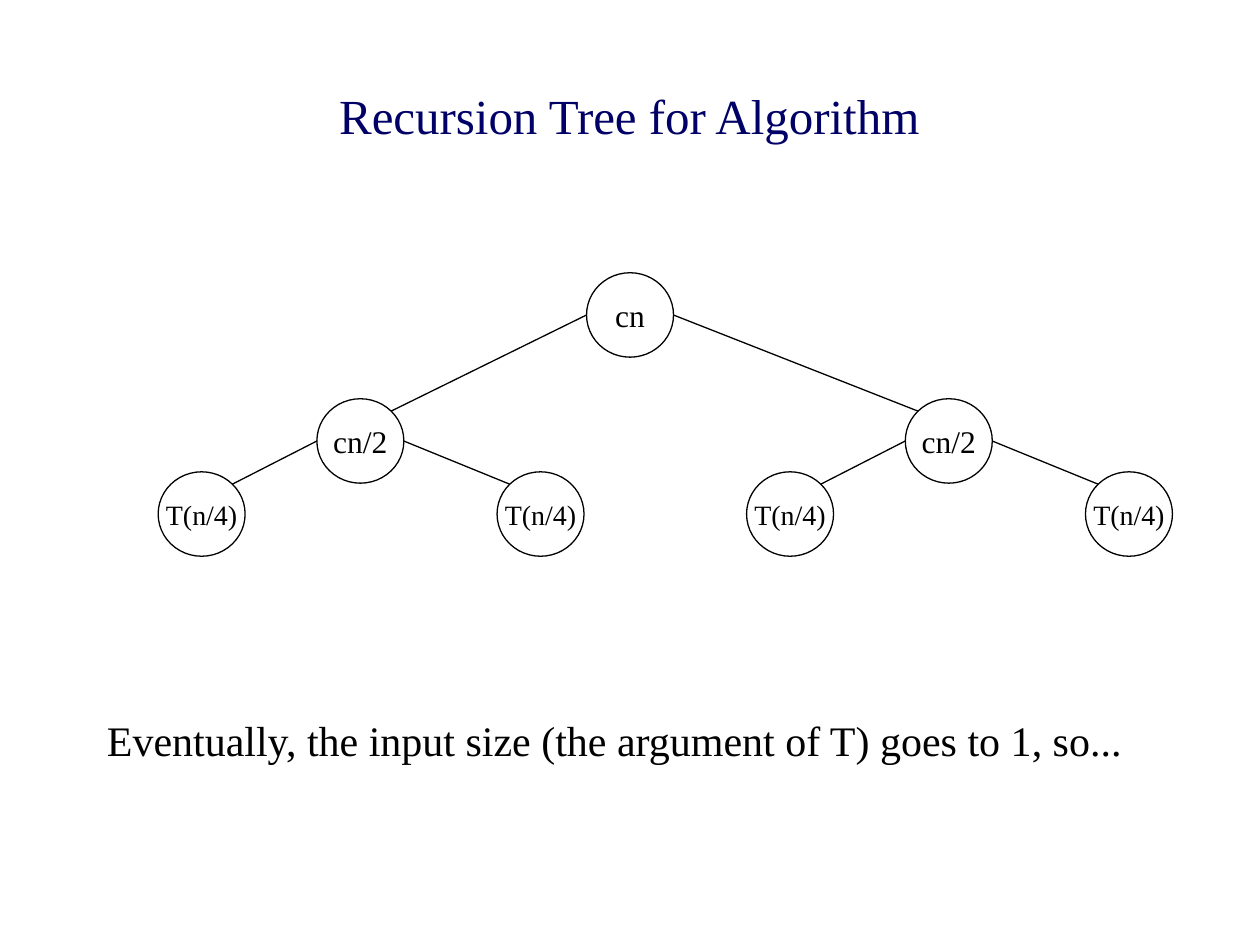
"""Build a slide showing the recursion tree of a divide-and-conquer algorithm."""
from math import sqrt

from lxml.etree import SubElement
from pptx import Presentation
from pptx.dml.color import RGBColor
from pptx.enum.shapes import MSO_CONNECTOR, MSO_SHAPE
from pptx.enum.text import MSO_ANCHOR, PP_ALIGN
from pptx.oxml.ns import qn
from pptx.util import Inches, Pt

NODE_WIDTH, NODE_HEIGHT = 0.69, 0.67
BLACK, NAVY = "000000", "000066"


def color(value):
    return RGBColor.from_string(value)


def write_text(shape, text, size, text_color, alignment, anchor, wrap):
    frame = shape.text_frame
    frame_format = {"text": text, "vertical_anchor": anchor, "word_wrap": wrap}
    for name, value in frame_format.items():
        setattr(frame, name, value)
    paragraph = frame.paragraphs[0]
    paragraph.alignment = alignment
    font = paragraph.runs[0].font
    for name, value in {"name": "Times New Roman", "size": Pt(size)}.items():
        setattr(font, name, value)
    font.color.rgb = color(text_color)


presentation = Presentation()
presentation.slide_width = Inches(10)
presentation.slide_height = Inches(7.5)
slide = presentation.slides.add_slide(presentation.slide_layouts.get_by_name("Title Only"))

title = slide.shapes.title
title_place = {"left": 2.33, "top": 0.5, "width": 5.33, "height": 0.83}
for name, value in title_place.items():
    setattr(title, name, Inches(value))
write_text(title, "Recursion Tree for Algorithm", 28, NAVY,
           PP_ALIGN.CENTER, MSO_ANCHOR.MIDDLE, True)

nodes = [("cn", 18, 5, 2.5, None)]
for half_x in (2.86, 7.53):
    nodes.append(("cn/2", 18, half_x, 3.5, (5, 2.5)))
    for offset in (-1.26, 1.43):
        nodes.append(("T(n/4)", 16, half_x + offset, 4.08, (half_x, 3.5)))

tree = slide.shapes.add_group_shape()
for label, size, center_x, center_y, parent in nodes:
    node = tree.shapes.add_shape(
        MSO_SHAPE.OVAL,
        Inches(center_x - NODE_WIDTH / 2), Inches(center_y - NODE_HEIGHT / 2),
        Inches(NODE_WIDTH), Inches(NODE_HEIGHT))
    node.shadow.inherit = False
    node.fill.background()
    node.line.color.rgb = color(BLACK)
    node.line.width = Pt(0.75)
    write_text(node, label, size, BLACK, PP_ALIGN.CENTER, MSO_ANCHOR.MIDDLE, False)

    if parent:
        parent_x, parent_y = parent
        side = 1 if center_x > parent_x else -1
        edge = tree.shapes.add_connector(
            MSO_CONNECTOR.STRAIGHT,
            Inches(parent_x + side * NODE_WIDTH / 2), Inches(parent_y),
            Inches(center_x - side * NODE_WIDTH / 2 / sqrt(2)),
            Inches(center_y - NODE_HEIGHT / 2 / sqrt(2)))
        edge.line.color.rgb = color(BLACK)
        edge.line.width = Pt(0.75)
        SubElement(edge._element.spPr, qn("a:effectLst"))

conclusion = slide.shapes.add_textbox(Inches(0.75), Inches(5.62), Inches(8.75), Inches(0.5))
write_text(conclusion, "Eventually, the input size (the argument of T) goes to 1, so...",
           24, BLACK, PP_ALIGN.LEFT, MSO_ANCHOR.TOP, True)

presentation.save("out.pptx")
